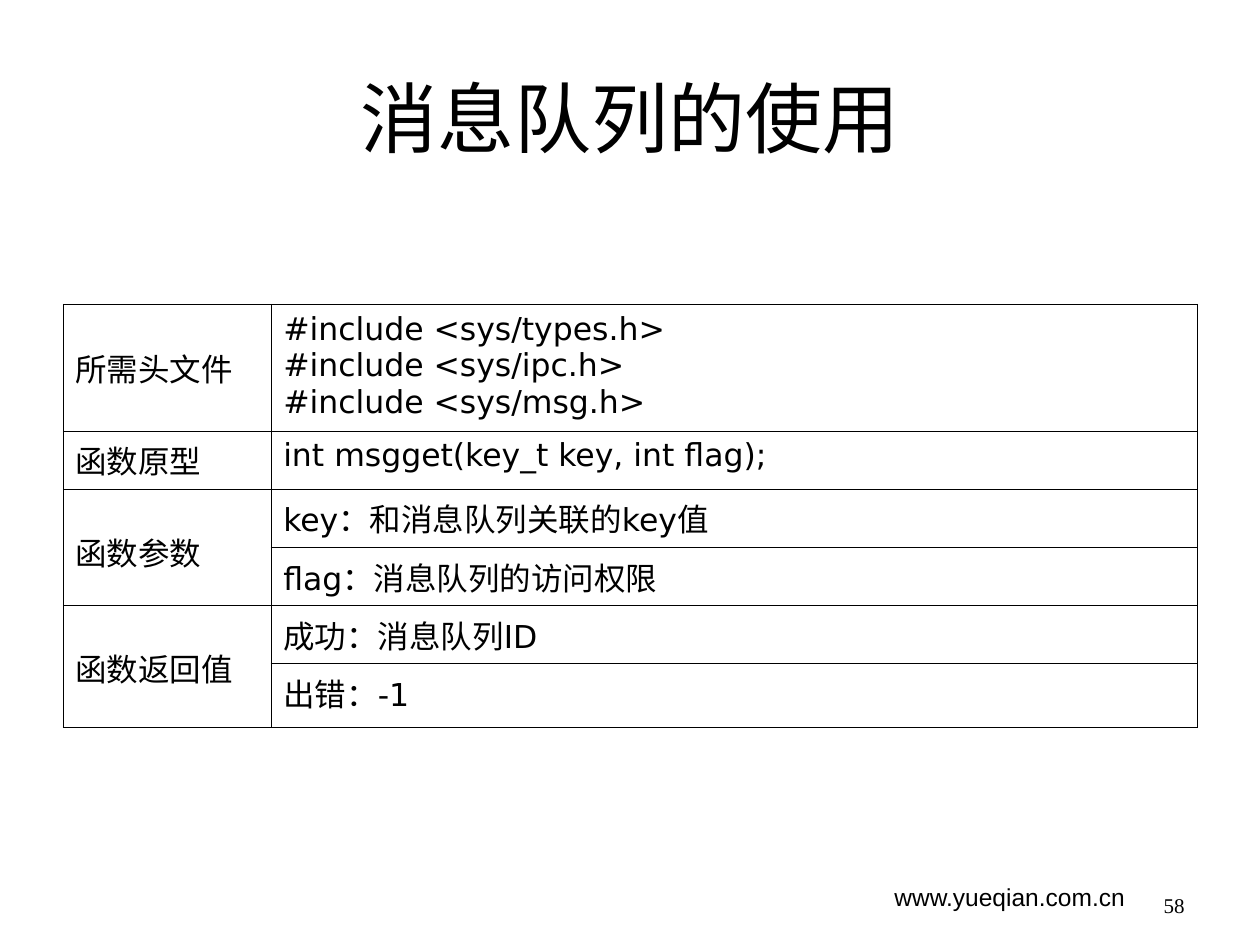
from lxml.etree import SubElement
from pptx import Presentation
from pptx.dml.color import RGBColor
from pptx.enum.text import MSO_ANCHOR as Anchor, PP_ALIGN as Align
from pptx.oxml.ns import qn
from pptx.util import Cm, Pt

BLACK = RGBColor(0, 0, 0)
HAIR, THIN, THICK = Pt(0.34), Pt(0.45), Pt(0.96)


def write(frame, text, size=18, font="DejaVu Sans", align=Align.LEFT,
          anchor=Anchor.TOP, hanging=0):
    frame.word_wrap = True
    frame.vertical_anchor = anchor
    for index, line in enumerate(text.split("\n")):
        paragraph = frame.add_paragraph() if index else frame.paragraphs[0]
        paragraph.alignment = align
        if hanging:
            properties = paragraph._p.get_or_add_pPr()
            properties.set("marL", str(hanging))
            properties.set("indent", str(-hanging))
        run = paragraph.add_run()
        run.text = line
        run.font.size = Pt(size)
        run.font.name = font
        run.font.color.rgb = BLACK


def draw_borders(cell, widths):
    properties = cell._tc.get_or_add_tcPr()
    for side, width in zip("LRTB", widths):
        line = SubElement(properties, qn(f"a:ln{side}"), w=str(width))
        fill = SubElement(line, qn("a:solidFill"))
        SubElement(fill, qn("a:srgbClr"), val=str(BLACK))


deck = Presentation()
deck.slide_width, deck.slide_height = Cm(25.4), Cm(19.05)
slide = deck.slides.add_slide(deck.slide_layouts[5])

title = slide.shapes.title
title.left, title.top, title.width, title.height = Cm(1.27), Cm(0.76), Cm(22.86), Cm(3.18)
write(title.text_frame, "消息队列的使用", size=44, font="Arial",
      align=Align.CENTER, anchor=Anchor.MIDDLE)

website = slide.shapes.add_textbox(Cm(17.78), Cm(17.65), Cm(6.35), Cm(1.02))
write(website.text_frame, "www.yueqian.com.cn", size=14, font="Arial")

sections = [
    ("所需头文件", ["#include <sys/types.h>\n#include <sys/ipc.h>\n#include <sys/msg.h>"]),
    ("函数原型", ["int msgget(key_t key, int flag);"]),
    ("函数参数", ["key：和消息队列关联的key值", "flag：消息队列的访问权限"]),
    ("函数返回值", ["成功：消息队列ID", "出错：-1"]),
]
row_heights = [2.54, 1.17, 1.17, 1.17, 1.17, 1.3]
last_row = len(row_heights) - 1

reference = slide.shapes.add_table(
    len(row_heights), 2, Cm(1.27), Cm(6.14), Cm(22.86), Cm(sum(row_heights))).table
reference.first_row = reference.horz_banding = False
reference.columns[0].width, reference.columns[1].width = Cm(4.19), Cm(18.67)

for row, height in enumerate(row_heights):
    reference.rows[row].height = Cm(height)
    top = THICK if row == 0 else THIN
    bottom = THICK if row == last_row else THIN
    for column, (left, right) in enumerate([(HAIR, THIN), (THIN, HAIR)]):
        cell = reference.cell(row, column)
        draw_borders(cell, (left, right, top, bottom))
        cell.fill.background()
        cell.margin_left = cell.margin_right = Cm(0.25)
        cell.margin_top = cell.margin_bottom = Cm(0.13)

row = 0
for label, details in sections:
    heading = reference.cell(row, 0)
    if len(details) > 1:
        heading.merge(reference.cell(row + len(details) - 1, 0))
    if label != "函数原型":
        heading.margin_top = Cm(0.81)
    write(heading.text_frame, label, hanging=Cm(0.76))
    for detail in details:
        write(reference.cell(row, 1).text_frame, detail, hanging=Cm(0.76))
        row += 1

page_number = slide.shapes.add_textbox(Cm(18.21), Cm(17.35), Cm(5.92), Cm(1.27))
write(page_number.text_frame, "58", size=12, font="Times New Roman",
      align=Align.RIGHT, anchor=Anchor.BOTTOM)

deck.save("out.pptx")
